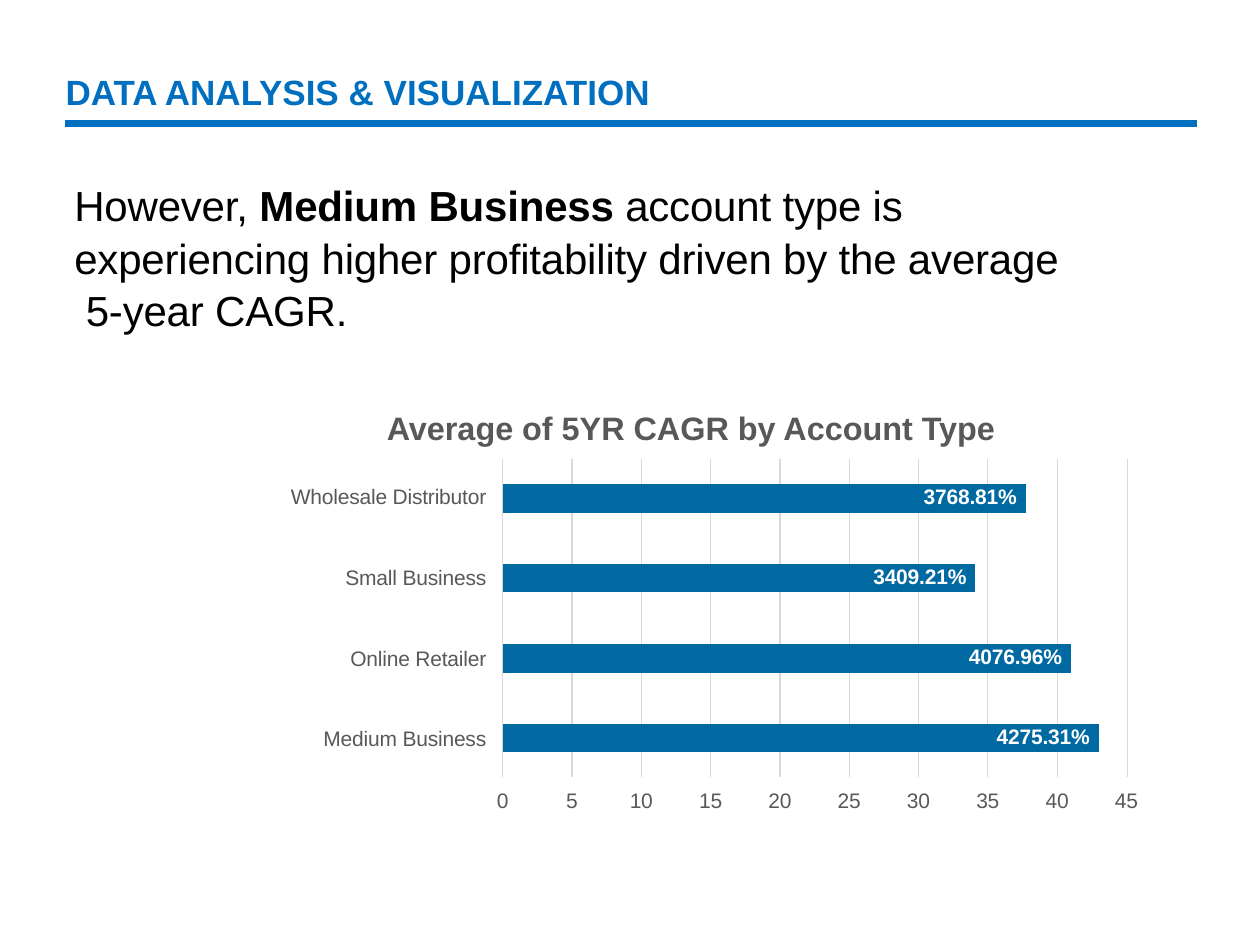
from lxml.etree import SubElement
from pptx import Presentation
from pptx.dml.color import RGBColor
from pptx.enum.shapes import MSO_CONNECTOR
from pptx.enum.text import MSO_ANCHOR, PP_ALIGN
from pptx.oxml import parse_xml
from pptx.oxml.ns import nsdecls, qn
from pptx.util import Inches, Pt

COLORS = {"blue": "006FC0", "bar": "0069A2", "grid": "D9D9D9",
          "gray": "585858", "black": "000000", "white": "FFFFFF"}
FONT = "Arial"


def write(para, text, size=12, color="gray", bold=False, spacing=-0.1):
    """Add one formatted span to a paragraph."""
    span = para.add_run()
    span.text = text
    span.font.name = FONT
    span.font.size = Pt(size)
    span.font.bold = bold
    span.font.color.rgb = RGBColor.from_string(COLORS[color])
    span.font._element.set("spc", str(round(spacing * 100)))


def clear_margins(frame, wrap=True):
    """Remove the insets of a text frame and anchor it at the top."""
    frame.margin_left = frame.margin_right = frame.margin_bottom = 0
    frame.margin_top = Inches(0.01)
    frame.vertical_anchor = MSO_ANCHOR.TOP
    frame.word_wrap = wrap


deck = Presentation()
deck.slide_width, deck.slide_height = Inches(10), Inches(7.5)
page = deck.slides.add_slide(deck.slide_layouts[5])

# Title
title = page.shapes.title
title.left, title.top = Inches(0.52), Inches(0.55)
title.width, title.height = Inches(4.77), Inches(0.36)
clear_margins(title.text_frame, wrap=False)
para = title.text_frame.paragraphs[0]
para.alignment = PP_ALIGN.LEFT
para.space_before = Pt(1.1)
write(para, "DATA ANALYSIS & VISUALIZATION", size=20, color="blue", bold=True, spacing=0)

# Title rule and the last grid line of the chart
for x1, y1, x2, y2, color, weight in [(0.52, 0.98, 9.5, 0.98, "blue", 4.5),
                                      (8.95, 3.64, 8.95, 6.17, "grid", 0.75)]:
    line = page.shapes.add_connector(MSO_CONNECTOR.STRAIGHT, Inches(x1), Inches(y1),
                                     Inches(x2), Inches(y2))
    line.line.color.rgb = RGBColor.from_string(COLORS[color])
    line.line.width = Pt(weight)
    SubElement(line._element.spPr, qn("a:effectLst"))

# Statement and chart heading
box = page.shapes.add_textbox(Inches(0.59), Inches(1.4), Inches(7.93), Inches(2.08))
clear_margins(box.text_frame)
para = box.text_frame.paragraphs[0]
para.space_before = Pt(1)
para.line_spacing = 1.04
write(para, "However, ", size=24, color="black")
write(para, "Medium Business ", size=24, color="black", bold=True)
write(para, "account type is", size=24, color="black")
for text in ["experiencing higher profitability driven by the average", " 5-year CAGR."]:
    para.add_line_break()
    write(para, text, size=24, color="black")
heading = box.text_frame.add_paragraph()
heading.space_before = Pt(42)
heading._p.get_or_add_pPr().set("marL", str(Inches(2.48)))
write(heading, "Average of 5YR CAGR by Account Type", size=18.5, bold=True, spacing=0)

# Bar grid: a table whose odd rows hold the bars and whose borders are the grid lines
columns = [0.55] * 6 + [0.45, 0.1, 0.3, 0.25, 0.08, 0.22]
rows = [0.2, 0.23, 0.41, 0.22, 0.41, 0.23, 0.41, 0.22, 0.2]
bars = {1: ("3768.81%", 9), 3: ("3409.21%", 7), 5: ("4076.96%", 11), 7: ("4275.31%", 12)}
frame = page.shapes.add_table(len(rows), len(columns), Inches(3.99), Inches(3.64),
                              Inches(4.71), Inches(2.53))
table = frame.table
table.first_row = table.horz_banding = False
frame._element.find(".//" + qn("a:tableStyleId")).text = "{2D5ABB26-0587-4C30-8999-92F81FD0307C}"
for index, width in enumerate(columns):
    table.columns[index].width = Inches(width)
for index, height in enumerate(rows):
    table.rows[index].height = Inches(height)

# Merges as row, column, last row, last column
merges = [(row, 6, row, 7) for row in range(0, 9, 2)]
merges += [(row, 8, row, 9) for row in (0, 6, 8)] + [(2, 8, 4, 9)]
merges += [(0, 10, 4, 11), (6, 10, 6, 11), (8, 10, 8, 11)]
merges += [(row, 0, row, span - 1) for row, (_, span) in bars.items()]
for row, column, last_row, last_column in merges:
    table.cell(row, column).merge(table.cell(last_row, last_column))

for row in range(len(rows)):
    for column in range(len(columns)):
        cell = table.cell(row, column)
        cell.margin_left = cell.margin_right = cell.margin_top = cell.margin_bottom = 0
        para = cell.text_frame.paragraphs[0]
        if row in bars and column == 0:
            cell.margin_top, cell.margin_right = Inches(0.01), Inches(0.07)
            cell.fill.solid()
            cell.fill.fore_color.rgb = RGBColor.from_string(COLORS["bar"])
            para.alignment = PP_ALIGN.RIGHT
            para.space_before = Pt(0.5)
            write(para, bars[row][0], color="white", bold=True)
        else:
            cell.fill.background()
            SubElement(para._p, qn("a:endParaRPr")).set("sz", "800")
        if cell.is_spanned:
            continue
        if row in bars:
            sides = "L" if column == 0 else "R" if column < 10 else ""
        else:
            sides = "L" if column == 10 else "LR"
        for position, side in enumerate(sides):
            border = parse_xml(
                f'<a:ln{side} {nsdecls("a")} w="9525"><a:solidFill>'
                f'<a:srgbClr val="{COLORS["grid"]}"/></a:solidFill></a:ln{side}>')
            cell._tc.get_or_add_tcPr().insert(position, border)

# Value axis labels, centred under the grid lines
for step in range(10):
    width = 0.12 if step < 2 else 0.21
    box = page.shapes.add_textbox(Inches(3.99 + 0.55 * step - width / 2), Inches(6.24),
                                  Inches(width), Inches(0.23))
    clear_margins(box.text_frame, wrap=False)
    para = box.text_frame.paragraphs[0]
    para.alignment = PP_ALIGN.CENTER
    para.space_before = Pt(1)
    write(para, str(step * 5))

# Category labels
box = page.shapes.add_textbox(Inches(2.25), Inches(3.83), Inches(1.61), Inches(2.13))
clear_margins(box.text_frame)
categories = ["Wholesale Distributor", "Small Business", "Online Retailer", "Medium Business"]
for index, category in enumerate(categories):
    para = box.text_frame.add_paragraph() if index else box.text_frame.paragraphs[0]
    para.alignment = PP_ALIGN.RIGHT
    para.space_before = Pt(31.7 if index else 1)
    write(para, category)

deck.save("out.pptx")
